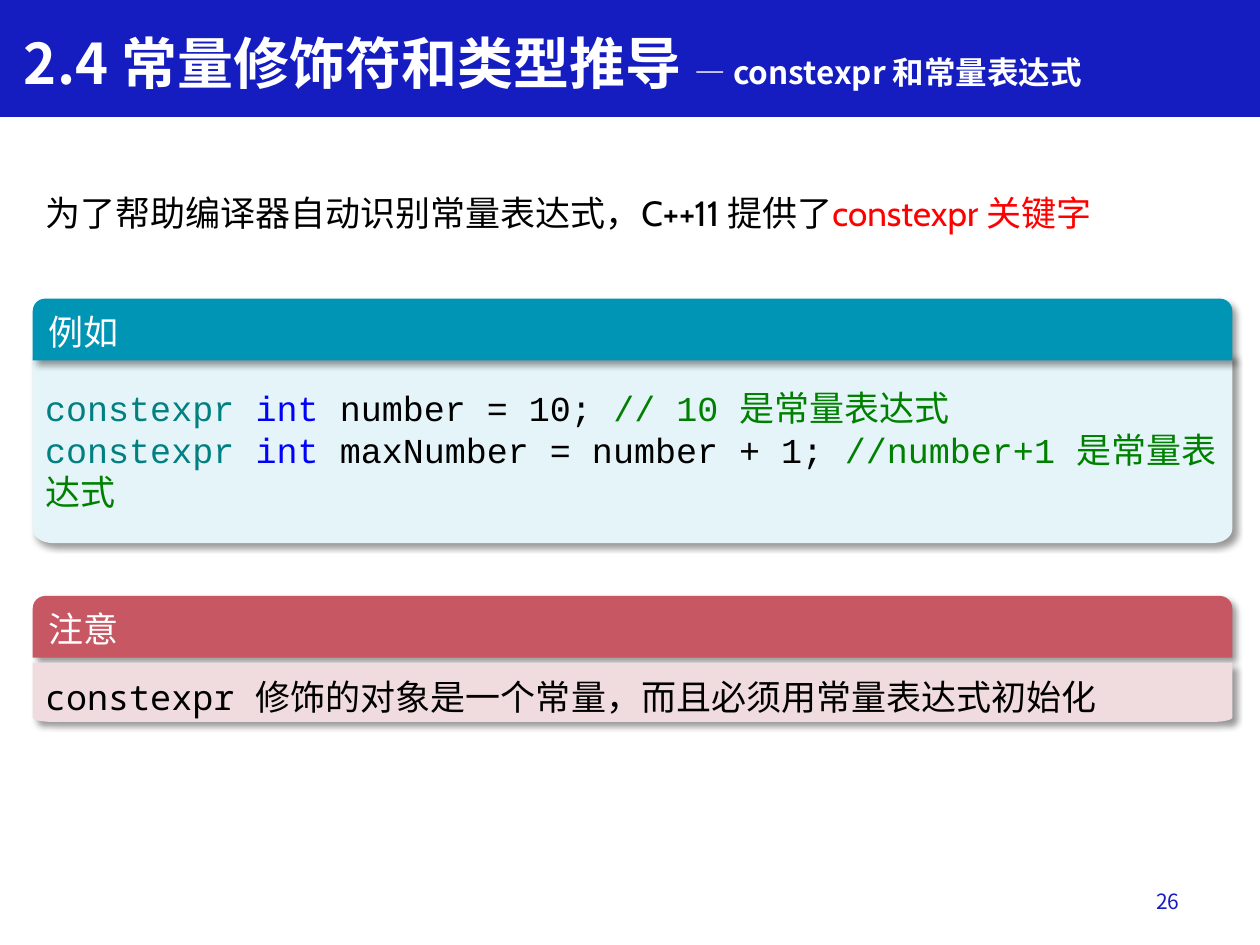
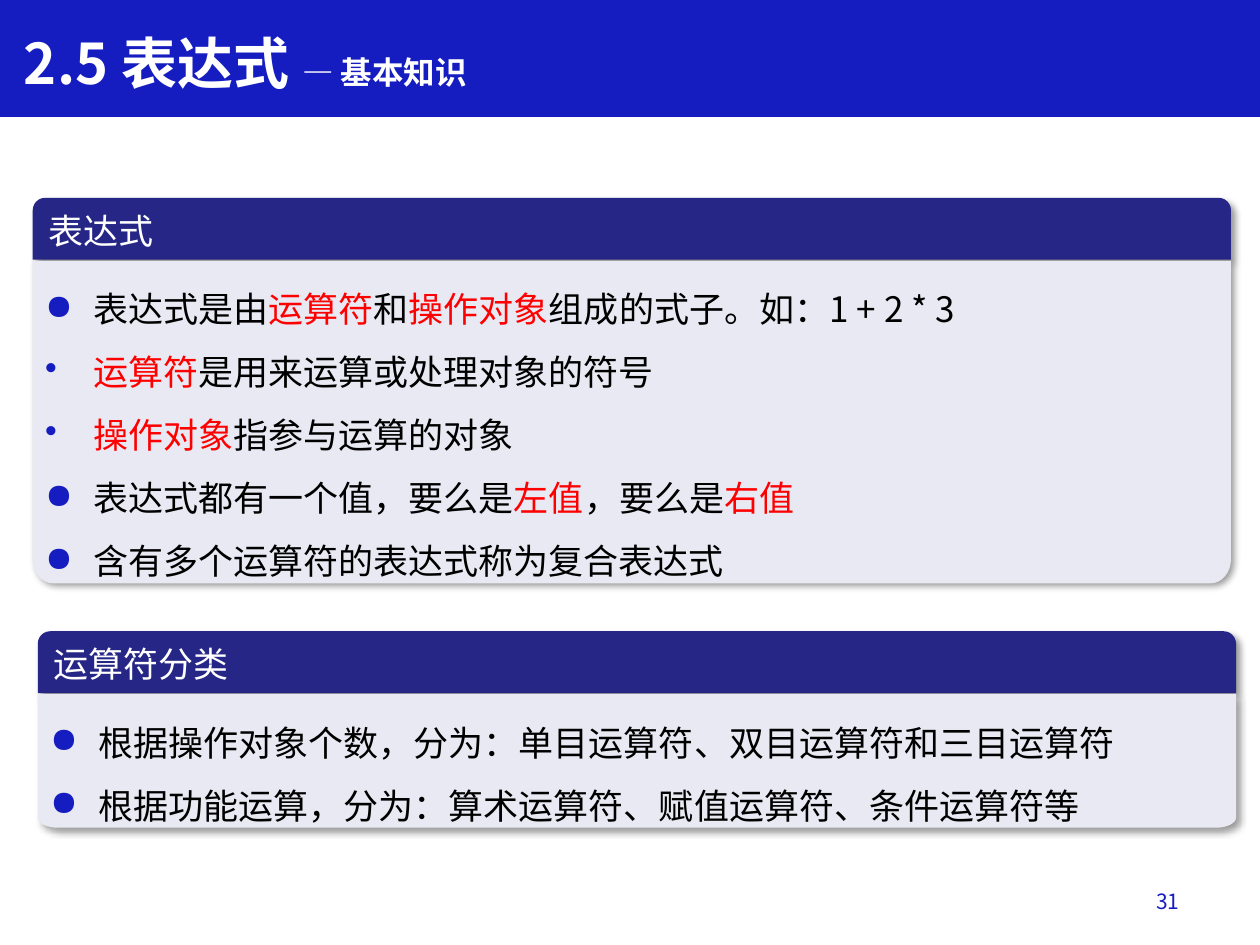
from dataclasses import dataclass
from math import cos, pi, sin

from lxml.etree import SubElement
from pptx import Presentation
from pptx.dml.color import RGBColor
from pptx.enum.shapes import MSO_SHAPE
from pptx.enum.text import MSO_ANCHOR, PP_ALIGN
from pptx.oxml.ns import qn
from pptx.util import Inches, Pt


@dataclass(frozen=True)
class Theme:
    """Colours, fonts and type sizes shared by the slides."""
    band: str = "151DC1"
    white: str = "FFFFFF"
    black: str = "000000"
    red: str = "FF0000"
    teal: str = "008080"
    blue: str = "0000FF"
    green: str = "008000"
    example: tuple = ("0094B5", "E5F4F8")
    notice: tuple = ("C75762", "F0DCDE")
    concept: tuple = ("262686", "E9E9F3")
    sans: str = "Noto Sans CJK SC"
    latin: str = "Cabin"
    code: str = "Courier New"
    mono: str = "Noto Sans Mono"
    title_size: int = 32
    subtitle_size: int = 18
    body_size: int = 20
    number_size: int = 12


THEME = Theme()


@dataclass(frozen=True)
class Span:
    """A stretch of text in one style."""
    text: str
    color: str = THEME.black
    font: str = THEME.sans
    size: int = THEME.body_size
    bold: bool = False


@dataclass(frozen=True)
class Line:
    """A paragraph made of spans, with its bullet and line pitch."""
    spans: tuple
    bullet: str = ""
    pitch: int = 0


@dataclass(frozen=True)
class Box:
    """A rectangle in inches."""
    left: float
    top: float
    width: float
    height: float

    def lengths(self):
        """Return the four sides as lengths."""
        return [Inches(side) for side in (self.left, self.top, self.width, self.height)]


def color_of(value):
    """Turn a hex string into a colour."""
    return RGBColor.from_string(value)


def add_span(para, span):
    """Add one run to a paragraph."""
    run = para.add_run()
    run.text = span.text
    run.font.name = span.font
    run.font.size = Pt(span.size)
    run.font.bold = span.bold
    run.font.color.rgb = color_of(span.color)
    SubElement(run._r.get_or_add_rPr(), qn("a:ea")).set("typeface", THEME.sans)


def add_bullet(para, symbol):
    """Give a paragraph a coloured bullet and a hanging indent."""
    properties = para._p.get_or_add_pPr()
    properties.set("marL", str(Inches(0.38)))
    properties.set("indent", str(-Inches(0.38)))
    bullet_color = SubElement(properties, qn("a:buClr"))
    SubElement(bullet_color, qn("a:srgbClr")).set("val", THEME.band)
    SubElement(properties, qn("a:buChar")).set("char", symbol)


def write(shape, lines, anchor=MSO_ANCHOR.MIDDLE, align=PP_ALIGN.LEFT):
    """Fill a shape with paragraphs."""
    frame = shape.text_frame
    frame.word_wrap = True
    frame.vertical_anchor = anchor
    for index, line in enumerate(lines):
        para = frame.add_paragraph() if index else frame.paragraphs[0]
        if line.bullet:
            add_bullet(para, line.bullet)
        para.alignment = align
        if line.pitch:
            para.line_spacing = Pt(line.pitch)
        for span in line.spans:
            add_span(para, span)


def paint(shape, fill):
    """Apply a plain fill without outline or shadow."""
    shape.fill.solid()
    shape.fill.fore_color.rgb = color_of(fill)
    shape.line.fill.background()
    shape.shadow.inherit = False


def cast_shadow(shape):
    """Add a soft shadow to the lower right."""
    effects = shape._element.spPr.find(qn("a:effectLst"))
    shadow = SubElement(effects, qn("a:outerShdw"), blurRad=str(Pt(4)), dist=str(Pt(3)),
                        dir=str(45 * 60000), algn="tl", rotWithShape="0")
    tint = SubElement(shadow, qn("a:srgbClr"), val=THEME.black)
    SubElement(tint, qn("a:alpha"), val="40000")


def add_text(page, box, line, align=PP_ALIGN.LEFT):
    """Add a text box with one paragraph."""
    write(page.shapes.add_textbox(*box.lengths()), [line], align=align)


def add_header(page, box, title, fill):
    """Add the round-topped header of a panel."""
    header = page.shapes.add_shape(MSO_SHAPE.ROUND_2_SAME_RECTANGLE, *box.lengths())
    header.adjustments[0] = 0.2
    paint(header, fill)
    cast_shadow(header)
    write(header, [Line((Span(title, THEME.white),))])


def add_body(page, box, lines, fill, anchor):
    """Add the body of a panel, with its lower corners rounded."""
    right, bottom = box.left + box.width, box.top + box.height
    radius_x, radius_y = 0.16, 0.075 * box.height
    angles = [step * pi / 16 for step in range(9)]
    right_corner = [(right - radius_x * (1 - cos(a)), bottom - radius_y * (1 - sin(a)))
                    for a in angles]
    left_corner = [(box.left + right - x, y) for x, y in reversed(right_corner)]
    points = [(right, box.top)] + right_corner + left_corner
    builder = page.shapes.build_freeform(Inches(box.left), Inches(box.top))
    builder.add_line_segments([(Inches(x), Inches(y)) for x, y in points])
    body = builder.convert_to_shape()
    paint(body, fill)
    cast_shadow(body)
    write(body, lines, anchor)


def add_panel(page, box, title, lines, colors, body_offset=0.5,
              anchor=MSO_ANCHOR.TOP, header_in_front=False):
    """Add a panel of header and body within a box."""
    header_box = Box(box.left, box.top, box.width, 0.49)
    body_box = Box(box.left, box.top + body_offset, box.width, box.height - body_offset)
    if not header_in_front:
        add_header(page, header_box, title, colors[0])
    add_body(page, body_box, lines, colors[1], anchor)
    if header_in_front:
        add_header(page, header_box, title, colors[0])


def add_page(deck, title, subtitle, number):
    """Add a slide with its band, title and page number."""
    page = deck.slides.add_slide(deck.slide_layouts[5])
    band = page.shapes.add_shape(MSO_SHAPE.RECTANGLE, *Box(0, 0, 10, 0.92).lengths())
    paint(band, THEME.band)
    band.line.color.rgb = color_of(THEME.band)
    band.line.width = Pt(1)
    page.shapes._spTree.insert(2, band._element)
    heading = page.shapes.title
    heading.left, heading.top, heading.width, heading.height = Box(0.09, 0.17, 9.31, 0.64).lengths()
    write(heading, [Line((
        Span(title + " ", THEME.white, size=THEME.title_size, bold=True),
        Span("— " + subtitle, THEME.white, size=THEME.subtitle_size, bold=True)))])
    add_text(page, Box(7.21, 6.95, 2.25, 0.4),
             Line((Span(number, THEME.band, size=THEME.number_size),)), PP_ALIGN.RIGHT)
    return page


def code_line(statement, remark, explanation):
    """Return a highlighted constexpr declaration with its remark."""
    return Line((Span("constexpr ", THEME.teal, THEME.code),
                 Span("int ", THEME.blue, THEME.code),
                 Span(statement, font=THEME.code),
                 Span(remark, THEME.green, THEME.code),
                 Span(explanation, THEME.green)), pitch=24)


def list_item(*spans, bullet="●"):
    """Return a bulleted line of a panel."""
    return Line(spans, bullet, 36)


def key(text):
    """Return a highlighted term."""
    return Span(text, THEME.red)


def build_constexpr_page(deck):
    """Build the slide on constexpr."""
    page = add_page(deck, "2.4 常量修饰符和类型推导", "constexpr 和常量表达式", "26")
    add_text(page, Box(0.26, 1.47, 9.14, 0.44), Line((
        Span("为了帮助编译器自动识别常量表达式，"),
        Span("C++11 ", font=THEME.latin),
        Span("提供了"),
        Span("constexpr ", THEME.red, THEME.latin),
        key("关键字"))))
    add_panel(page, Box(0.26, 4.73, 9.52, 1), "注意", [
        Line((Span("constexpr 修饰的对象是一个常量，而且必须用常量表达式初始化",
                   font=THEME.mono),), pitch=28),
    ], THEME.notice, 0.53)
    add_panel(page, Box(0.26, 2.37, 9.52, 1.94), "例如", [
        code_line("number = 10; ", "// 10 ", "是常量表达式"),
        code_line("maxNumber = number + 1; ", "//number+1 ", "是常量表达式"),
    ], THEME.example, 0.45, MSO_ANCHOR.MIDDLE, True)


def build_expression_page(deck):
    """Build the slide on expressions."""
    page = add_page(deck, "2.5 表达式", "基本知识", "31")
    add_panel(page, Box(0.26, 1.57, 9.51, 3.06), "表达式", [
        list_item(Span("表达式是由"), key("运算符"), Span("和"), key("操作对象"),
                  Span("组成的式子。如：1 + 2 * 3")),
        list_item(key("运算符"), Span("是用来运算或处理对象的符号"), bullet="•"),
        list_item(key("操作对象"), Span("指参与运算的对象"), bullet="•"),
        list_item(Span("表达式都有一个值，要么是"), key("左值"), Span("，要么是"), key("右值")),
        list_item(Span("含有多个运算符的表达式称为复合表达式")),
    ], THEME.concept)
    kinds = ("根据操作对象个数，分为：单目运算符、双目运算符和三目运算符",
             "根据功能运算，分为：算术运算符、赋值运算符、条件运算符等")
    add_panel(page, Box(0.3, 5.01, 9.51, 1.56), "运算符分类",
              [list_item(Span(kind, font=THEME.mono)) for kind in kinds], THEME.concept)


def main():
    """Build and save the deck."""
    deck = Presentation()
    deck.slide_width, deck.slide_height = Inches(10), Inches(7.5)
    build_constexpr_page(deck)
    build_expression_page(deck)
    deck.save("out.pptx")


if __name__ == "__main__":
    main()
